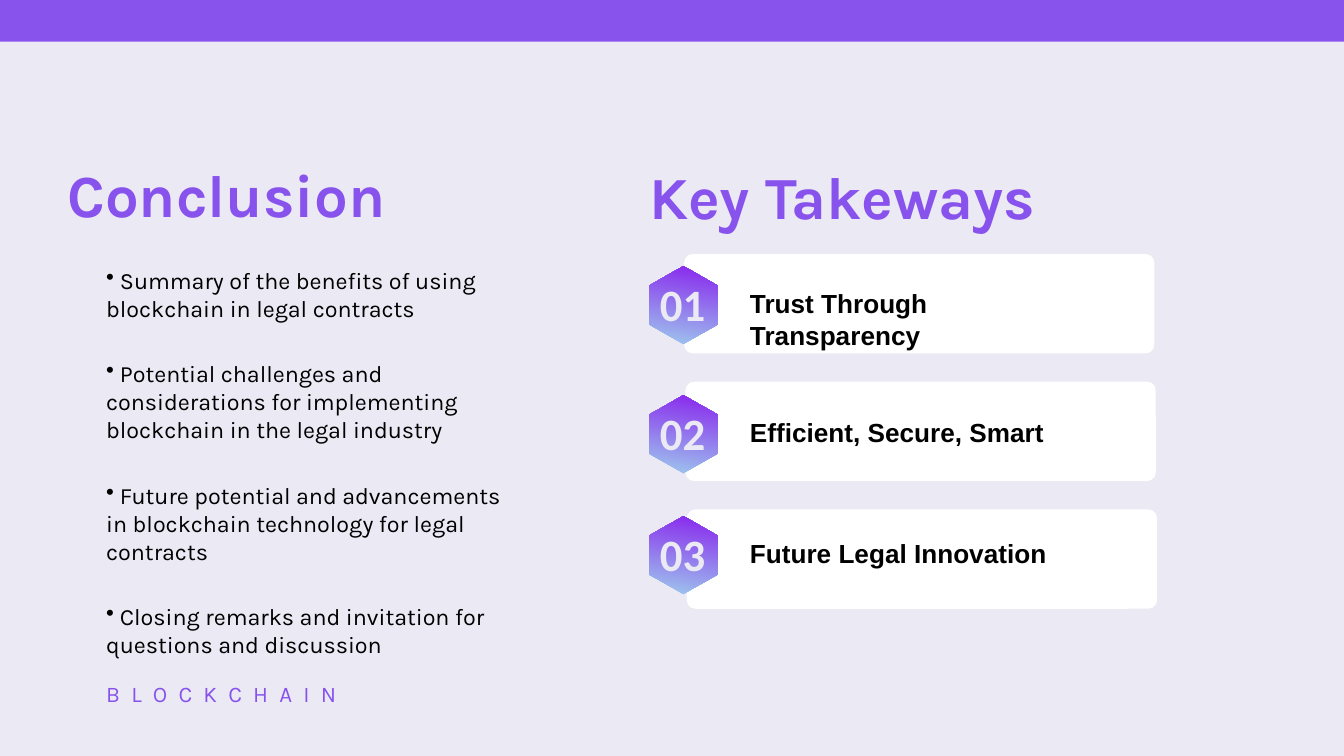
from pptx import Presentation
from pptx.dml.color import RGBColor
from pptx.enum.shapes import MSO_SHAPE
from pptx.enum.text import MSO_ANCHOR, PP_ALIGN
from pptx.util import Inches, Pt
from lxml.etree import SubElement
from pptx.oxml.ns import qn

HUES = {"back": "EAE9F4", "main": "8853ED", "card": "FFFFFF",
        "text": "000000", "deep": "8823ED", "pale": "9ECAED"}
COLS = 100
WIDE = Inches(10)
CELL = WIDE // COLS
ROWS = COLS * 9 / 16


def hue(name):
    """Return a named colour."""
    return RGBColor.from_string(HUES[name])


class Deck:
    """Holds the style and the current slide; lengths are grid cells."""

    def __init__(self):
        """Start a wide deck with one blank slide."""
        self.show = Presentation()
        self.show.slide_width = WIDE
        self.show.slide_height = self.size(ROWS)
        self.page = self.show.slides.add_slide(self.show.slide_layouts[6])
        fill = self.page.background.fill
        fill.solid()
        fill.fore_color.rgb = hue("back")

    def size(self, *cells):
        """Turn grid cells into lengths."""
        out = [round(c * CELL) for c in cells]
        return out if len(out) > 1 else out[0]

    def box(self, kind, area, tone, bend=None):
        """Draw a plain filled shape."""
        shape = self.page.shapes.add_shape(kind, *self.size(*area))
        shape.shadow.inherit = False
        shape.fill.solid()
        shape.fill.fore_color.rgb = hue(tone)
        shape.line.fill.background()
        if bend is not None:
            shape.adjustments[0] = bend

    def hexa(self, x, y, w, h):
        """Draw a pointed hexagon, pale below and deep above."""
        spots = [(1, .25), (.5, 0), (0, .25), (0, .75), (.5, 1), (1, .75)]
        first, *rest = [self.size(x + w * a, y + h * b) for a, b in spots]
        form = self.page.shapes.build_freeform(*first)
        form.add_line_segments(rest, close=True)
        shape = form.convert_to_shape()
        shape.shadow.inherit = False
        shape.line.fill.background()
        shape.fill.gradient()
        shape.fill.gradient_angle = 80
        for stop, tone in zip(shape.fill.gradient_stops, ("pale", "deep")):
            stop.color.rgb = hue(tone)

    def text(self, area, lines, size, font="Karla", tone="text", bold=False,
             anchor=MSO_ANCHOR.TOP, align=PP_ALIGN.LEFT, gap=0, track=0,
             dot=False):
        """Write paragraphs in a box without margins."""
        frame = self.page.shapes.add_textbox(*self.size(*area)).text_frame
        frame.word_wrap = True
        frame.vertical_anchor = anchor
        frame.margin_left = frame.margin_right = 0
        frame.margin_top = frame.margin_bottom = 0
        for i, line in enumerate(lines):
            para = frame.add_paragraph() if i else frame.paragraphs[0]
            para.alignment = align
            para.space_after = Pt(gap)
            if dot:
                props = para._p.get_or_add_pPr()
                props.set("marL", "0")
                props.set("indent", "0")
                SubElement(props, qn("a:buChar")).set("char", "•")
            run = para.add_run()
            run.text = line
            run.font.size = Pt(size)
            run.font.name = font
            run.font.bold = bold
            run.font.color.rgb = hue(tone)
            if track:
                run._r.get_or_add_rPr().set("spc", str(track * 100))

    def head(self, x, y, words):
        """Write a column heading."""
        self.text((x, y, 36.2, 8.2), [words], 32, tone="main", bold=True,
                  anchor=MSO_ANCHOR.BOTTOM)

    def item(self, i, y, words):
        """Draw one takeaway: card, numbered hexagon and label."""
        self.box(MSO_SHAPE.ROUNDED_RECTANGLE,
                 (50.9 + i * .1, 18.9 + i * 9.5, 35, 7.4), "card", .088)
        self.hexa(48.3, y, 5.1, 5.8)
        self.text((55.8, y + 1.6, 24.1, 4.1), [words], 14, "Arial", bold=True)
        self.text((48.6, y + .9, 4.4, 3.8), [f"{i + 1:02}"], 24, "Calibri",
                  "back", True, MSO_ANCHOR.MIDDLE, PP_ALIGN.CENTER)


POINTS = [
    " Summary of the benefits of using blockchain in legal contracts",
    " Potential challenges and considerations for implementing "
    "blockchain in the legal industry",
    " Future potential and advancements in blockchain technology "
    "for legal contracts",
    " Closing remarks and invitation for questions and discussion",
]
TAKES = [(19.8, "Trust Through Transparency"),
         (29.4, "Efficient, Secure, Smart"),
         (38.4, "Future Legal Innovation")]

deck = Deck()
deck.box(MSO_SHAPE.RECTANGLE, (0, 0, COLS, 3.1), "main")
deck.head(5, 8.9, "Conclusion")
deck.head(48.3, 9, "Key Takeways")
deck.text((7.9, 19.8, 31.2, 25.8), POINTS, 12.5, gap=20, dot=True)
deck.text((7.9, 50.6, 77.9, 2.5), ["BLOCKCHAIN"], 12, tone="main", track=6)
for i, (y, words) in enumerate(TAKES):
    deck.item(i, y, words)
deck.show.save("out.pptx")
